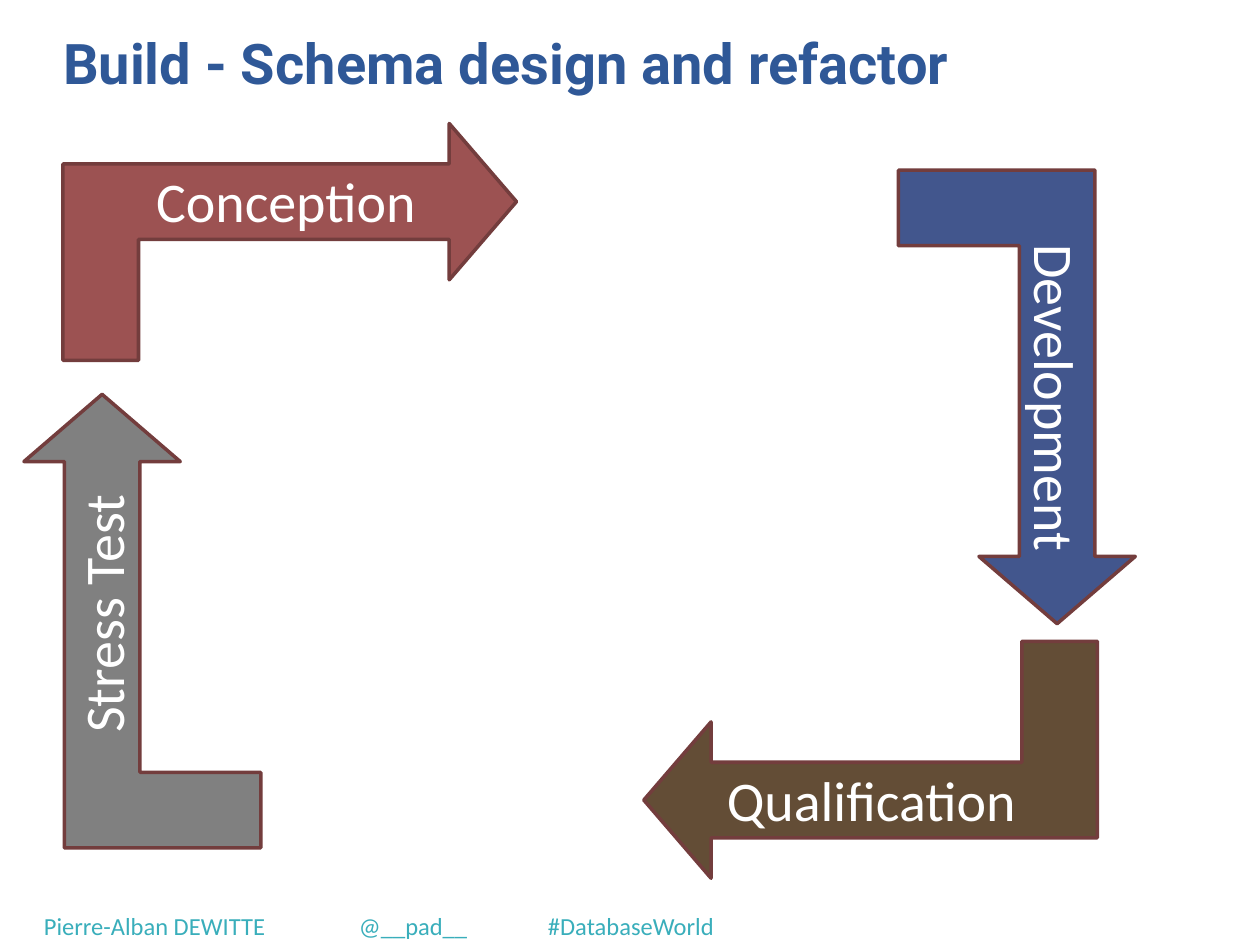
from lxml.etree import SubElement
from pptx import Presentation
from pptx.dml.color import RGBColor
from pptx.enum.shapes import MSO_SHAPE
from pptx.enum.text import MSO_ANCHOR, PP_ALIGN
from pptx.oxml.ns import qn
from pptx.util import Inches, Pt

# Grid of 100 columns by 75 rows
CELL = Inches(0.1)
COLS, ROWS = 100, 75

BLUE = RGBColor(0x2F, 0x58, 0x97)
TEAL = RGBColor(0x39, 0xAE, 0xBB)
WHITE = RGBColor(0xFF, 0xFF, 0xFF)
EDGE = RGBColor(0x73, 0x3D, 0x3D)
NAVY = RGBColor(0x42, 0x56, 0x8D)
BROWN = RGBColor(0x63, 0x4D, 0x36)
RED = RGBColor(0x9C, 0x52, 0x52)
GREY = RGBColor(0x80, 0x80, 0x80)

WIDE, TALL = 18.8, 36
BEND = (0.319, 0.33, 0.284)
LEFT, RIGHT = PP_ALIGN.LEFT, PP_ALIGN.RIGHT

# Name, fill, arrow centre and turn, label centre, width, turn and alignment
STEPS = [
    ("Development", NAVY, (80.7, 31.5), 180, (83.85, 28.1), 33.3, 90, RIGHT),
    ("Qualification", BROWN, (69.1, 60.3), 270, (69.9, 63.5), 26.4, 0, LEFT),
    ("Conception", RED, (23, 19.2), 90, (28.05, 15.9), 33.3, 0, LEFT),
    ("Stress Test", GREY, (11.3, 49.3), 0, (8.15, 47.9), 22.5, 270, LEFT),
]


def span(*cells):
    return [round(n * CELL) for n in cells]


def around(mid, wide, tall):
    return span(mid[0] - wide / 2, mid[1] - tall / 2, wide, tall)


def add_text(slide, box, text, size, color, face="Calibri", bold=False):
    shape = slide.shapes.add_textbox(*box)
    frame = shape.text_frame
    frame.text = text
    frame.word_wrap = True
    frame.vertical_anchor = MSO_ANCHOR.TOP
    font = frame.paragraphs[0].runs[0].font
    font.name, font.size, font.bold = face, Pt(size), bold
    font.color.rgb = color
    return shape


def add_title(slide, text):
    box = span(5, 2.3, 77.5, 10.8)
    frame = add_text(slide, box, text, 32, BLUE, "Roboto", True).text_frame
    frame.margin_left = frame.margin_right = 0
    frame.margin_top = frame.margin_bottom = 0


def add_footer(slide, text):
    box = span(2.5, 71.8, 80.5, 3.4)
    shape = add_text(slide, box, text, 14, TEAL)
    props = shape.text_frame.paragraphs[0]._p.get_or_add_pPr()
    tabs = SubElement(props, qn("a:tabLst"))
    for stop in span(20, 25, 35, 40):
        SubElement(tabs, qn("a:tab"), pos=str(stop), algn="l")


def add_arrow(slide, mid, turn, fill):
    box = around(mid, WIDE, TALL)
    shape = slide.shapes.add_shape(MSO_SHAPE.BENT_UP_ARROW, *box)
    for i, share in enumerate(BEND):
        shape.adjustments[i] = share
    shape.rotation = turn
    shape._element.spPr.xfrm.set("flipH", "1")
    shape.shadow.inherit = False
    shape.fill.solid()
    shape.fill.fore_color.rgb = fill
    shape.line.color.rgb = EDGE
    shape.line.width = Pt(2)


def add_label(slide, text, mid, wide, turn, align):
    shape = add_text(slide, around(mid, wide, 6.4), text, 32, WHITE)
    shape.rotation = turn
    shape.text_frame.paragraphs[0].alignment = align


def main():
    deck = Presentation()
    deck.slide_width, deck.slide_height = span(COLS, ROWS)
    slide = deck.slides.add_slide(deck.slide_layouts[6])

    # Footer and title
    add_footer(slide, "Pierre-Alban DEWITTE\t\t@__pad__\t\t#DatabaseWorld")
    add_title(slide, "Build - Schema design and refactor")

    # Cycle of four steps
    for name, fill, mid, turn, spot, wide, tilt, align in STEPS:
        add_arrow(slide, mid, turn, fill)
        add_label(slide, name, spot, wide, tilt, align)

    deck.save("out.pptx")


if __name__ == "__main__":
    main()
